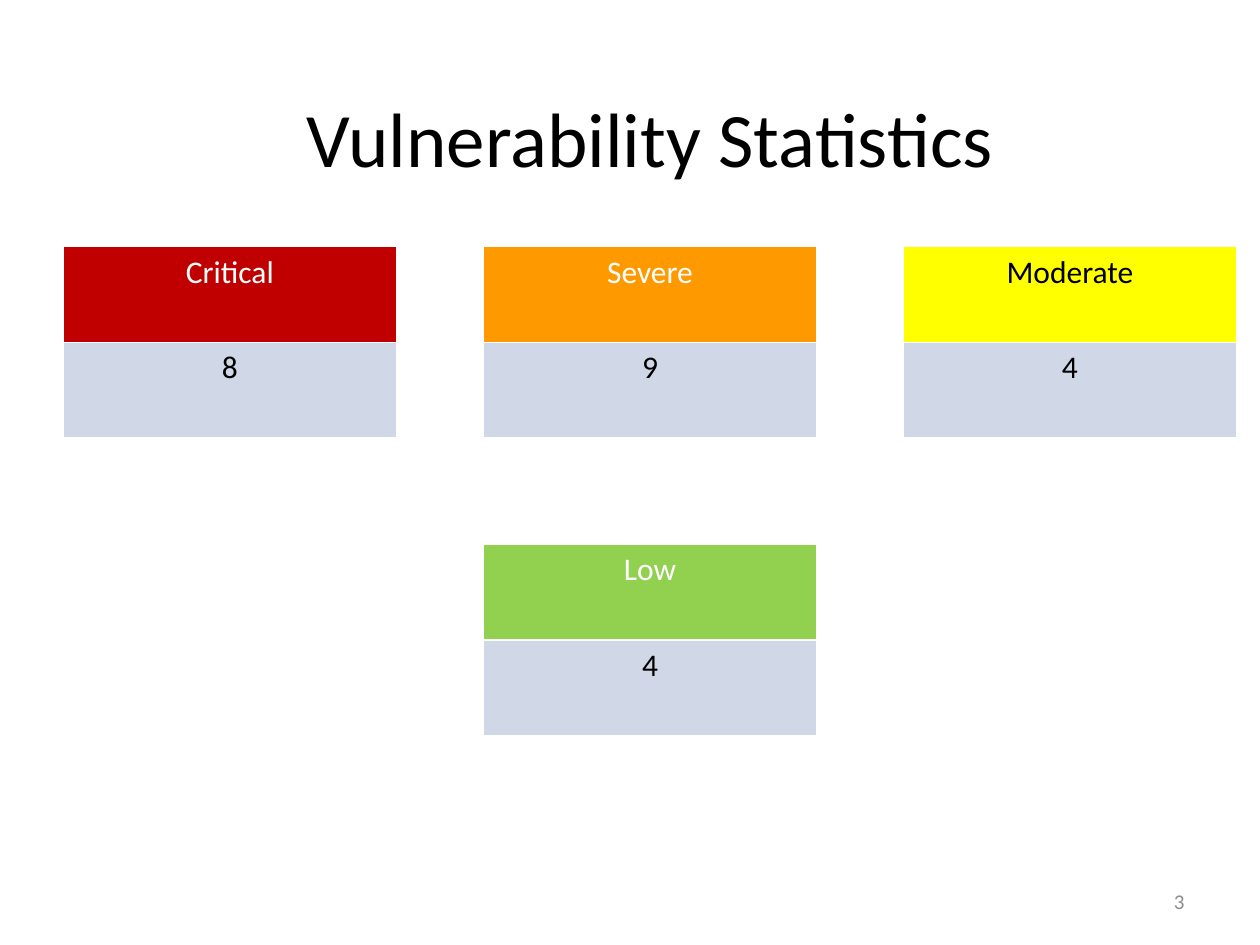
from pptx import Presentation
from pptx.dml.color import RGBColor as Rgb
from pptx.enum.text import MSO_ANCHOR as Anchor, PP_ALIGN as Align
from pptx.util import Pt

COLORS = {
    "black": "000000", "white": "FFFFFF", "gray": "8C8C8C", "body": "D0D8E8",
    "red": "C00000", "orange": "FF9900", "yellow": "FFFF00", "green": "92D050",
}
LEFT, STEP, WIDTH, ROW = 36, 240, 190.8, 54.7
TOP, LOW = 141, 311

# level, count, fill, heading colour, column, top
LEVELS = [
    ("Critical", "8", "red", "white", 0, TOP),
    ("Severe", "9", "orange", "white", 1, TOP),
    ("Moderate", "4", "yellow", "black", 2, TOP),
    ("Low", "4", "green", "white", 1, LOW),
]


def color(name):
    return Rgb.from_string(COLORS[name])


def write(frame, text, size, ink, align=Align.CENTER):
    para = frame.paragraphs[0]
    para.alignment = align
    run = para.add_run()
    run.text = text
    form = {"name": "Calibri", "size": Pt(size), "bold": False}
    for key, value in form.items():
        setattr(run.font, key, value)
    run.font.color.rgb = color(ink)


def add_text(slide, box, text, size, ink, align=Align.CENTER):
    frame = slide.shapes.add_textbox(*map(Pt, box)).text_frame
    frame.word_wrap = True
    frame.vertical_anchor = Anchor.MIDDLE
    write(frame, text, size, ink, align)


def add_level(slide, name, count, fill, ink, col, top):
    """Add a two-row table: a coloured heading over its count."""
    box = (LEFT + col * STEP, top, WIDTH, 2 * ROW)
    table = slide.shapes.add_table(2, 1, *map(Pt, box)).table
    rows = [(name, fill, ink), (count, "body", "black")]
    for i, (text, back, front) in enumerate(rows):
        cell = table.cell(i, 0)
        cell.fill.solid()
        cell.fill.fore_color.rgb = color(back)
        write(cell.text_frame, text, 18, front)


def main():
    deck = Presentation()
    deck.slide_width, deck.slide_height = Pt(720), Pt(540)
    slide = deck.slides.add_slide(deck.slide_layouts[6])
    add_text(slide, (-42.5, 26, 828, 104.4), "Vulnerability Statistics", 44, "black")
    for level in LEVELS:
        add_level(slide, *level)
    add_text(slide, (516, 500.5, 168, 28.8), "3", 12, "gray", Align.RIGHT)
    deck.save("out.pptx")


if __name__ == "__main__":
    main()
